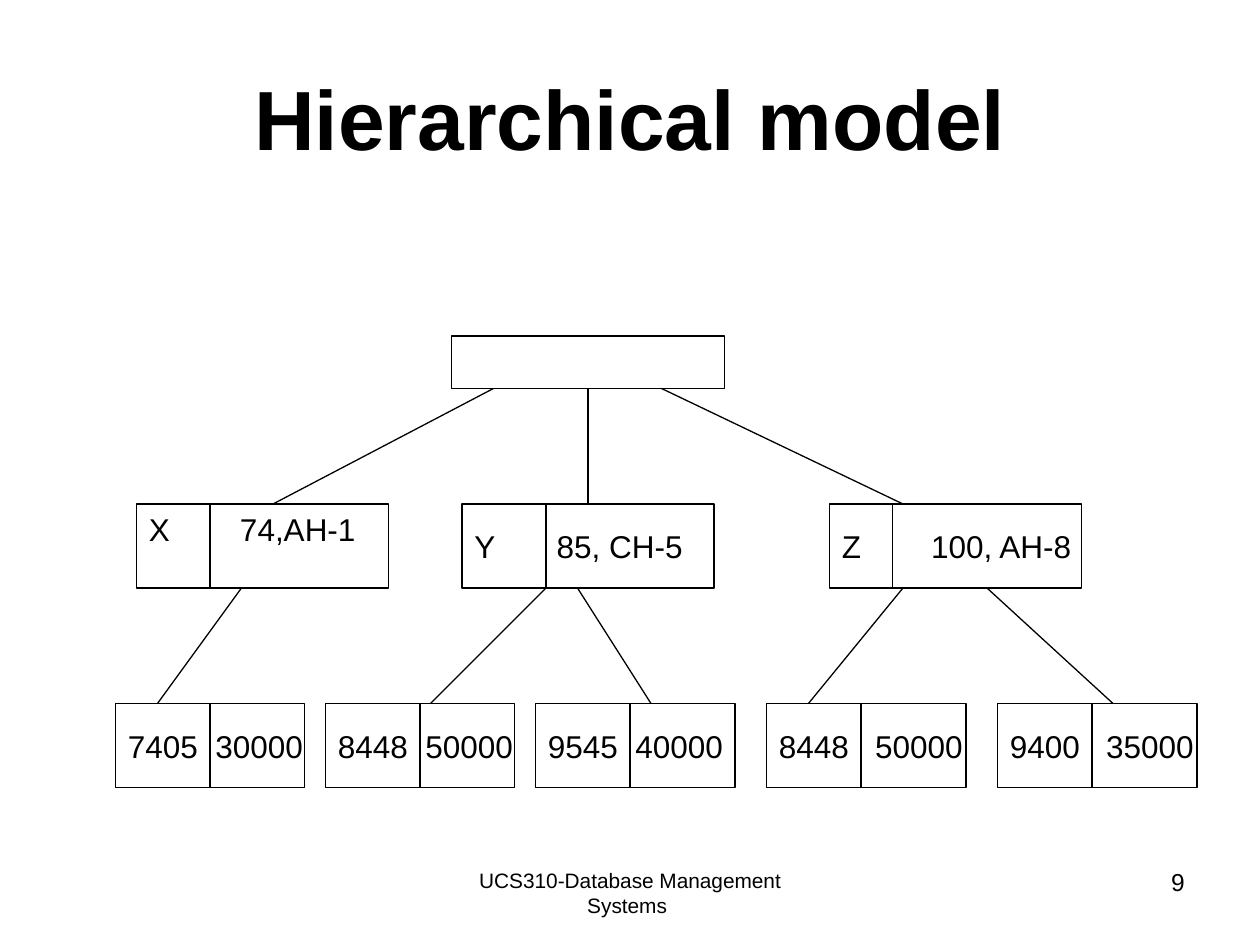
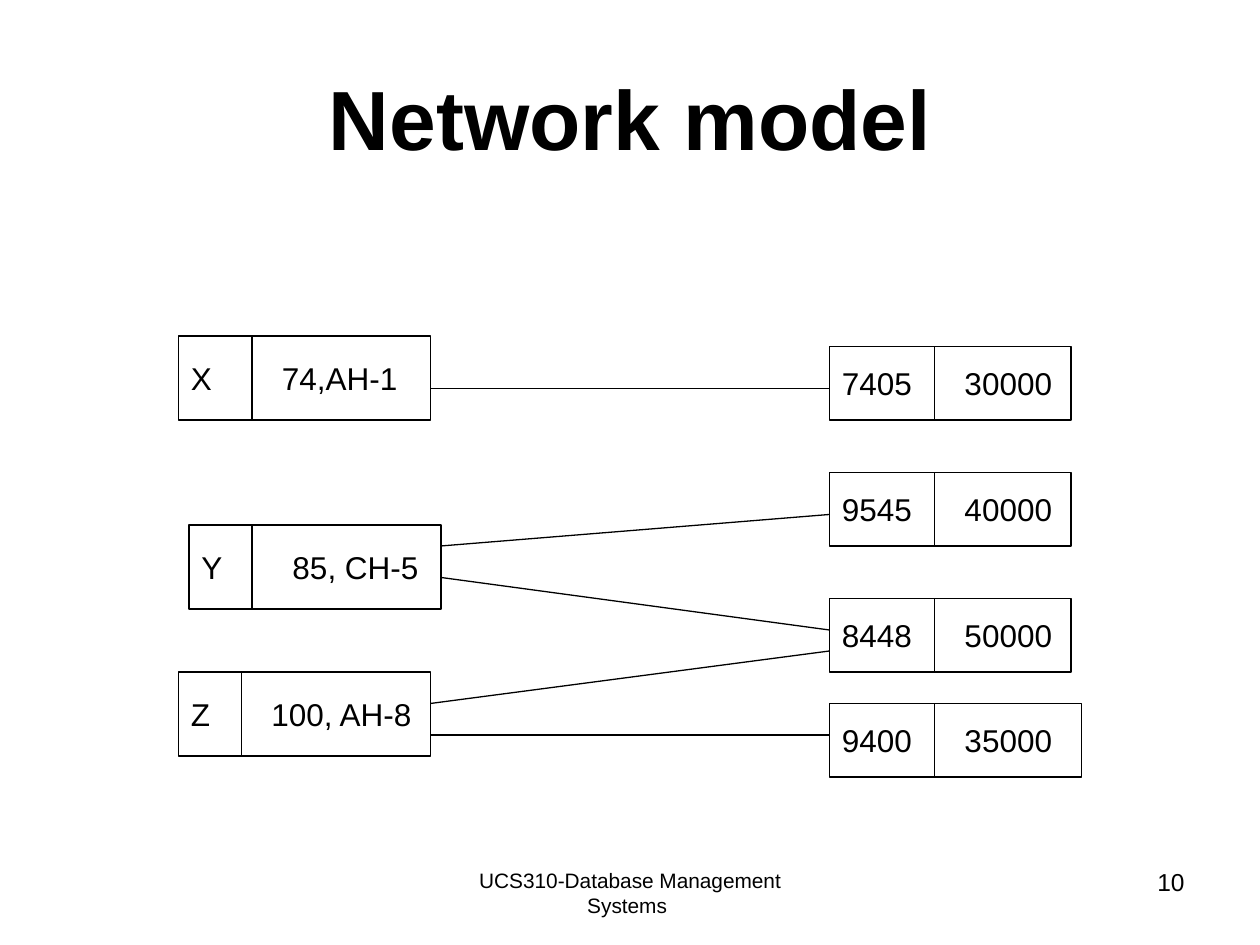
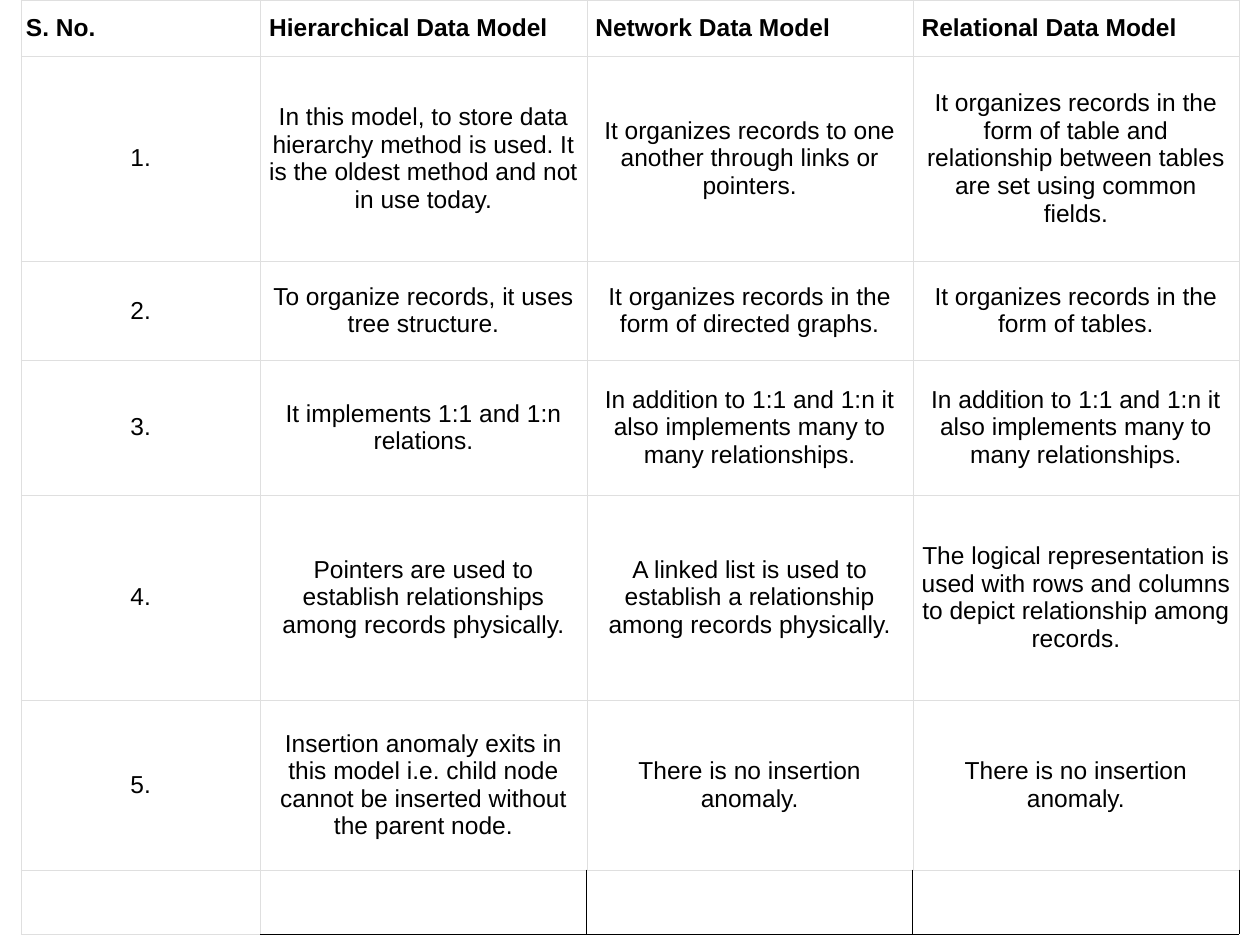
from dataclasses import dataclass

from lxml import etree
from pptx import Presentation
from pptx import util as u
from pptx.dml.color import RGBColor
from pptx.enum import shapes, text
from pptx.oxml import ns

COLORS = {"ink": "000000", "paper": "FFFFFF", "rule": "DFDFDF"}
FONT = "Arial"
COLUMNS, ROWS = 120, 90
CELL = u.Inches(10) // COLUMNS
LINE_WIDTH = 0.75
TITLE_ONLY, BLANK = 5, 6
FOOTER = "UCS310-Database Management Systems "


@dataclass
class Box:
    left: float
    top: float
    width: float
    height: float

    def inner(self, left, top, width, height):
        return Box(self.left + left, self.top + top, width, height)

    def point(self, column, row):
        return self.left + column, self.top + row

    def place(self):
        return [grid(side) for side in (self.left, self.top, self.width, self.height)]


TITLE_BOX = Box(6, 3.6, 108, 15)
FOOTER_BOX = Box(41, 82, 38, 6.2)
NUMBER_BOX = Box(86, 82, 28, 6.2)
TREE_BOX = Box(11, 32, 103, 43)
NETWORK_BOX = Box(17, 32, 86, 42)
TABLE_BOX = Box(2, 0, 116, 89)

PEOPLE = [("X", "74,AH-1"), ("Y", "85, CH-5"), ("Z", "100, AH-8")]
COMPARISON = [
    ["S. No.", "Hierarchical Data Model", "Network Data Model", "Relational Data Model"],
    [
        "1.",
        "In this model, to store data hierarchy method is used. It is the oldest method and not in use today.",
        "It organizes records to one another through links or pointers.",
        "It organizes records in the form of table and relationship between tables are set using common fields.",
    ],
    [
        "2.",
        "To organize records, it uses tree structure.",
        "It organizes records in the form of directed graphs.",
        "It organizes records in the form of tables.",
    ],
    [
        "3.",
        "It implements 1:1 and 1:n relations.",
        "In addition to 1:1 and 1:n it also implements many to many relationships.",
        "In addition to 1:1 and 1:n it also implements many to many relationships.",
    ],
    [
        "4.",
        "Pointers are used to establish relationships among records physically.",
        "A linked list is used to establish a relationship among records physically.",
        "The logical representation is used with rows and columns to depict relationship among records.",
    ],
    [
        "5.",
        "Insertion anomaly exits in this model i.e. child node cannot be inserted without the parent node.",
        "There is no insertion anomaly.",
        "There is no insertion anomaly.",
    ],
    ["", "", "", ""],
]
TABLE_COLUMNS = [22.8, 31.07, 31.07, 31.07]
TABLE_ROWS = [5.33, 19.53, 9.43, 12.85, 19.53, 16.19, 6.1]


def grid(cells):
    return u.Emu(round(cells * CELL))


def color(name):
    return RGBColor.from_string(COLORS[name])


def write(para, words, size, bold=False, align=text.PP_ALIGN.LEFT):
    para.alignment = align
    span = para.add_run()
    span.text = words
    span.font.name = FONT
    span.font.size = u.Pt(size)
    span.font.bold = bold
    span.font.color.rgb = color("ink")


def add_note(page, box, words, size, align):
    frame = page.shapes.add_textbox(*box.place()).text_frame
    frame.word_wrap = True
    write(frame.paragraphs[0], words, size, align=align)


def add_page(deck, title, number):
    page = deck.slides.add_slide(deck.slide_layouts[TITLE_ONLY])
    heading = page.shapes.title
    heading.left, heading.top, heading.width, heading.height = TITLE_BOX.place()
    heading.text_frame.vertical_anchor = text.MSO_ANCHOR.MIDDLE
    write(heading.text_frame.paragraphs[0], title, 48, True, text.PP_ALIGN.CENTER)
    add_note(page, NUMBER_BOX, str(number), 14, text.PP_ALIGN.RIGHT)
    add_note(page, FOOTER_BOX, FOOTER, 11.9, text.PP_ALIGN.CENTER)
    return page


def add_link(page, start, end):
    ends = [grid(side) for side in (*start, *end)]
    link = page.shapes.add_connector(shapes.MSO_CONNECTOR.STRAIGHT, *ends)
    link.line.color.rgb = color("ink")
    link.line.width = u.Pt(LINE_WIDTH)
    etree.SubElement(link._element.spPr, ns.qn("a:effectLst"))


def add_frame(page, box):
    frame = page.shapes.add_shape(shapes.MSO_SHAPE.RECTANGLE, *box.place())
    frame.shadow.inherit = False
    frame.fill.solid()
    frame.fill.fore_color.rgb = color("paper")
    frame.line.color.rgb = color("ink")
    frame.line.width = u.Pt(LINE_WIDTH)
    return frame


def add_record(page, box, fields, split, tab, anchor=text.MSO_ANCHOR.MIDDLE):
    frame = add_frame(page, box).text_frame
    frame.word_wrap = False
    frame.vertical_anchor = anchor
    para = frame.paragraphs[0]
    write(para, "\t".join(fields), 18)
    stops = etree.SubElement(para._p.get_or_add_pPr(), ns.qn("a:tabLst"))
    etree.SubElement(stops, ns.qn("a:tab"), pos=str(grid(tab)), algn="l")
    add_link(page, box.point(split, 0), box.point(split, box.height))


def draw_tree(page, area):
    root_bottom, people_top, people_bottom, leaf_top = 5, 16, 24, 35
    add_frame(page, area.inner(32, 0, 26, root_bottom))

    anchors = [text.MSO_ANCHOR.TOP, text.MSO_ANCHOR.MIDDLE, text.MSO_ANCHOR.MIDDLE]
    places = [(2, 7, 8.68), (33, 8, 7.84), (68, 6, 8.5)]
    for person, (left, split, tab), anchor in zip(PEOPLE, places, anchors):
        add_record(page, area.inner(left, people_top, 24, 8), person, split, tab, anchor)

    leaves = [
        (0, 18, 8.34, ("7405", "30000")),
        (20, 18, 8.34, ("8448", "50000")),
        (40, 19, 8.34, ("9545", "40000")),
        (62, 19, 9.17, ("8448", "50000")),
        (84, 19, 9.17, ("9400", "35000")),
    ]
    for left, width, tab, account in leaves:
        add_record(page, area.inner(left, leaf_top, width, 8), account, 9, tab)

    levels = [
        (root_bottom, people_top, [(36, 15), (45, 45), (52, 75)]),
        (people_bottom, leaf_top, [(12, 4), (41, 30), (44, 51), (75, 66), (83, 95)]),
    ]
    for upper, lower, links in levels:
        for start, end in links:
            add_link(page, area.point(start, upper), area.point(end, lower))


def draw_network(page, area):
    accounts_left = 62
    places = [(0, 0, 7, 8.68), (1, 18, 6, 8.68), (0, 32, 6, 7.67)]
    for person, (left, top, split, tab) in zip(PEOPLE, places):
        add_record(page, area.inner(left, top, 24, 8), person, split, tab)

    accounts = [
        (1, 23, ("7405", "30000")),
        (13, 23, ("9545", "40000")),
        (25, 23, ("8448", "50000")),
        (35, 24, ("9400", "35000")),
    ]
    for top, width, account in accounts:
        add_record(page, area.inner(accounts_left, top, width, 7), account, 10, 11.68)

    for left, start, end in [(24, 5, 5), (25, 20, 17), (25, 23, 28), (24, 35, 30), (24, 38, 38)]:
        add_link(page, area.point(left, start), area.point(accounts_left, end))


def set_borders(cell, dark_sides):
    properties = cell._tc.get_or_add_tcPr()
    for side in "LRTB":
        name, width = ("ink", 0.45) if side in dark_sides else ("rule", 0.06)
        line = etree.SubElement(properties, ns.qn(f"a:ln{side}"), w=str(u.Pt(width)))
        fill = etree.SubElement(line, ns.qn("a:solidFill"))
        etree.SubElement(fill, ns.qn("a:srgbClr"), val=COLORS[name])


def fill_cell(cell, words, row, column):
    heading = row == 0
    last = row == len(COMPARISON) - 1
    dark_sides = ""
    if last and column:
        dark_sides = "RB" if column == 1 else "LRB"
    set_borders(cell, dark_sides)
    if dark_sides:
        cell.fill.background()
    else:
        cell.fill.solid()
        cell.fill.fore_color.rgb = color("paper")
    cell.vertical_anchor = text.MSO_ANCHOR.MIDDLE
    cell.margin_left = cell.margin_right = u.Inches(0.04 if heading and not column else 0.07)
    if words:
        align = text.PP_ALIGN.LEFT if heading else text.PP_ALIGN.CENTER
        write(cell.text_frame.paragraphs[0], words, 14, heading, align)


def draw_comparison(page, area):
    table = page.shapes.add_table(len(TABLE_ROWS), len(TABLE_COLUMNS), *area.place()).table
    table.first_row = table.horz_banding = False
    for column, width in zip(table.columns, TABLE_COLUMNS):
        column.width = grid(width)
    for row, height in zip(table.rows, TABLE_ROWS):
        row.height = grid(height)
    for row, entries in enumerate(COMPARISON):
        for column, words in enumerate(entries):
            fill_cell(table.cell(row, column), words, row, column)


def main():
    deck = Presentation()
    deck.slide_width, deck.slide_height = grid(COLUMNS), grid(ROWS)
    draw_tree(add_page(deck, "Hierarchical model", 9), TREE_BOX)
    draw_network(add_page(deck, "Network model", 10), NETWORK_BOX)
    draw_comparison(deck.slides.add_slide(deck.slide_layouts[BLANK]), TABLE_BOX)
    deck.save("out.pptx")


if __name__ == "__main__":
    main()
